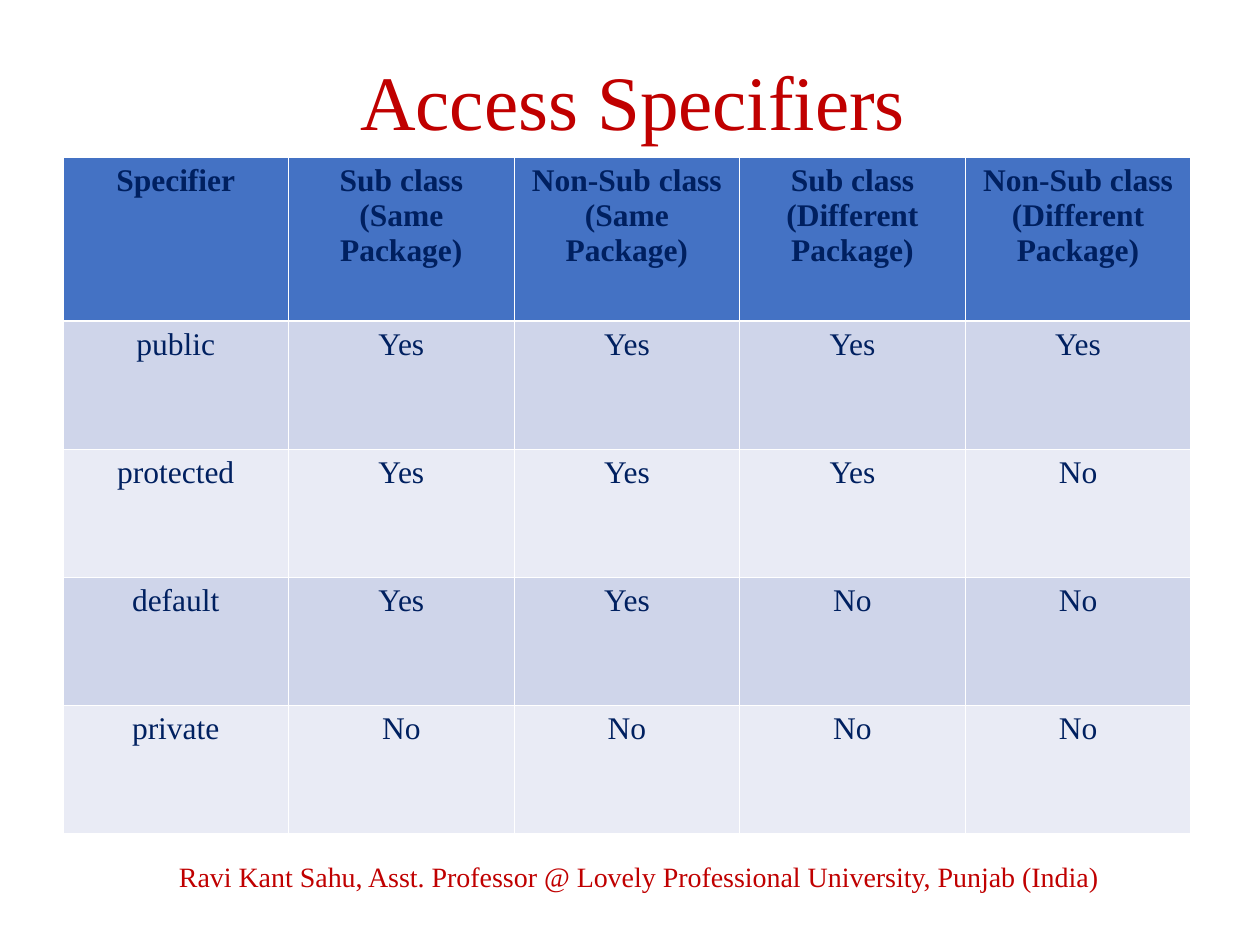
from lxml import etree
from pptx import Presentation
from pptx import util as u
from pptx.dml.color import RGBColor
from pptx.enum import text
from pptx.oxml.ns import qn

EMU_PER_PX = 914400 / 126
HEADER = ["Specifier", "Sub class (Same Package)", "Non-Sub class (Same Package)",
          "Sub class (Different Package)", "Non-Sub class (Different Package)"]
ACCESS = [
    ["public", "Yes", "Yes", "Yes", "Yes"],
    ["protected", "Yes", "Yes", "Yes", "No"],
    ["default", "Yes", "Yes", "No", "No"],
    ["private", "No", "No", "No", "No"],
]


def px(length):
    return u.Emu(round(length * EMU_PER_PX))


def color(value):
    return RGBColor.from_string(value)


class SlideBuilder:
    font = "Times New Roman"
    red, navy, white = "C00000", "002060", "FFFFFF"
    header_fill, band_fills = "4472C4", ("CFD5EA", "E9EBF5")
    thin, thick = 0.45, 1.47

    def __init__(self, slide):
        self.slide = slide

    def set_text(self, frame, words, size, ink, bold=False):
        frame.text = words
        paragraph = frame.paragraphs[0]
        paragraph.alignment = text.PP_ALIGN.CENTER
        font = paragraph.runs[0].font
        font.name, font.size, font.bold = self.font, u.Pt(size), bold
        font.color.rgb = color(ink)

    def title(self, words, left, top, width, height):
        shape = self.slide.shapes.title
        shape.left, shape.top = px(left), px(top)
        shape.width, shape.height = px(width), px(height)
        frame = shape.text_frame
        frame.margin_top = frame.margin_bottom = u.Inches(0.1)
        frame.vertical_anchor = text.MSO_ANCHOR.MIDDLE
        self.set_text(frame, words, 44, self.red)
        frame.paragraphs[0].line_spacing = 0.85

    def label(self, words, left, top, width, height):
        shape = self.slide.shapes.add_textbox(px(left), px(top), px(width), px(height))
        frame = shape.text_frame
        frame.word_wrap = True
        frame.vertical_anchor = text.MSO_ANCHOR.MIDDLE
        self.set_text(frame, words, 16, self.red)

    def cell_borders(self, cell, top, bottom):
        """Insert the border lines ahead of the fill, as the schema requires."""
        properties = cell._tc.get_or_add_tcPr()
        widths = {"a:lnL": self.thin, "a:lnR": self.thin, "a:lnT": top, "a:lnB": bottom}
        for index, (tag, width) in enumerate(widths.items()):
            line = etree.Element(qn(tag), w=str(u.Pt(width)))
            fill = etree.SubElement(line, qn("a:solidFill"))
            etree.SubElement(fill, qn("a:srgbClr"), val=self.white)
            properties.insert(index, line)

    def table(self, rows, left, top, width, header_height, row_height):
        height = header_height + row_height * (len(rows) - 1)
        table = self.slide.shapes.add_table(
            len(rows), len(rows[0]), px(left), px(top), px(width), px(height)).table
        for r, row in enumerate(rows):
            is_header = r == 0
            table.rows[r].height = px(header_height if is_header else row_height)
            for c, words in enumerate(row):
                cell = table.cell(r, c)
                self.set_text(cell.text_frame, words, 18, self.navy, is_header)
                cell.fill.solid()
                cell.fill.fore_color.rgb = color(
                    self.header_fill if is_header else self.band_fills[(r - 1) % 2])
                self.cell_borders(cell, self.thick if r == 1 else self.thin,
                                  self.thick if is_header else self.thin)


def main():
    presentation = Presentation()
    presentation.slide_width, presentation.slide_height = px(1260), px(945)
    title_only = presentation.slide_layouts[5]
    builder = SlideBuilder(presentation.slides.add_slide(title_only))
    builder.title("Access Specifiers", 69, 34, 1128, 145)
    builder.table([HEADER] + ACCESS, 63, 157, 1128, 164, 128)
    builder.label("Ravi Kant Sahu, Asst. Professor @ Lovely Professional University, "
                  "Punjab (India)", 116, 851, 1046, 50)
    presentation.save("out.pptx")


if __name__ == "__main__":
    main()
